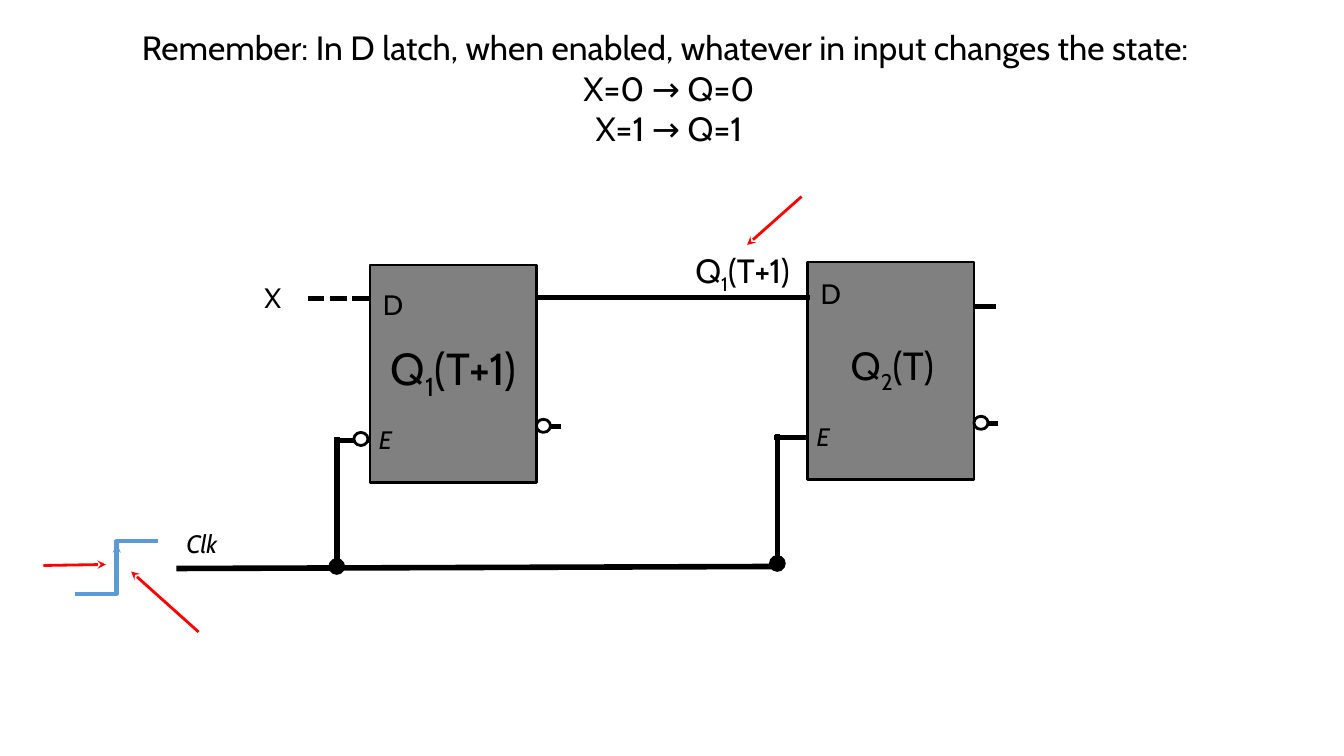
from lxml import etree
from pptx import Presentation
from pptx import util as u
from pptx.dml.color import RGBColor
from pptx.enum import dml, shapes, text
from pptx.oxml.ns import qn

BLACK, GREY, WHITE, RED, BLUE = "000000", "808080", "FFFFFF", "FF0000", "5B9BD5"


def rgb(value):
    return RGBColor.from_string(value)


class Diagram:
    """Draws circuit parts on one slide, on a grid 75 rows high with square cells."""

    font = "Cabin"

    def __init__(self, prs):
        self.s = prs.slides.add_slide(prs.slide_layouts[6])
        self.cell = prs.slide_height / 75

    def grid(self, *values):
        return [u.Emu(round(v * self.cell)) for v in values]

    def line(self, x1, y1, x2, y2, color=BLACK, width=4, head=None, tail=None,
             dash=None, kind=shapes.MSO_CONNECTOR.STRAIGHT):
        sp = self.s.shapes.add_connector(kind, *self.grid(x1, y1, x2, y2))
        sp.line.color.rgb = rgb(color)
        sp.line.width = u.Pt(width)
        if dash:
            sp.line.dash_style = dash
        spPr = sp._element.spPr
        ln = spPr.find(qn("a:ln"))
        for tag, end in (("a:headEnd", head), ("a:tailEnd", tail)):
            if end:
                etree.SubElement(ln, qn(tag), type=end)
        etree.SubElement(spPr, qn("a:effectLst"))

    def shape(self, kind, x, y, w, h, fill):
        sp = self.s.shapes.add_shape(kind, *self.grid(x, y, w, h))
        sp.shadow.inherit = False
        sp.fill.solid()
        sp.fill.fore_color.rgb = rgb(fill)
        sp.line.color.rgb = rgb(BLACK)
        sp.line.width = u.Pt(2)

    def bubble(self, x, y):
        self.shape(shapes.MSO_SHAPE.OVAL, x, y, 1.4, 1.3, WHITE)

    def label(self, x, y, w, h, paragraphs, size, italic=False, wrap=False):
        tf = self.s.shapes.add_textbox(*self.grid(x, y, w, h)).text_frame
        tf.word_wrap = wrap
        tf.auto_size = text.MSO_AUTO_SIZE.SHAPE_TO_FIT_TEXT
        for i, parts in enumerate(paragraphs):
            p = tf.add_paragraph() if i else tf.paragraphs[0]
            p.alignment = text.PP_ALIGN.LEFT if wrap else text.PP_ALIGN.CENTER
            p.font.name, p.font.size = self.font, u.Pt(size)
            p.font.italic = italic
            p.font.color.rgb = rgb(BLACK)
            for j, part in enumerate(parts):
                r = p.add_run()
                r.text = part
                if j == 1:
                    r._r.get_or_add_rPr().set("baseline", "-25000")

    def signal(self, x, y, text_):
        self.label(x, y, 6.9, 4, [[text_]], 18, italic=True, wrap=True)

    def latch(self, x, y, q_start, q_row, q_end, d_row):
        self.line(q_start, q_row, q_end, q_row)
        self.line(x + 13.2, y + 16, x + 18.9, y + 16)
        self.line(x - 3.3, y + 17.4, x + 2.5, y + 17.4)
        self.shape(shapes.MSO_SHAPE.RECTANGLE, x, y, 16.5, 21.6, GREY)
        self.bubble(x + 16.5, y + 15.3)
        self.signal(x - 0.1, y + 15.3, "E")
        self.label(x + 0.3, d_row, 4, 4.4, [["D"]], 20)


def main():
    prs = Presentation()
    prs.slide_width, prs.slide_height = u.Inches(13.33), u.Inches(7.5)
    d = Diagram(prs)

    d.line(17.5, 56.4, 77.1, 56.2)
    d.line(33.4, 56.2, 33.4, 43.4, head="oval")
    d.line(77.1, 55.9, 77.1, 43.1, head="oval")
    d.signal(17.5, 51.9, "Clk")
    d.line(7.4, 58.9, 15.7, 53.7, BLUE, 3, kind=shapes.MSO_CONNECTOR.ELBOW)
    d.line(11.5, 58.6, 11.6, 54, BLUE, 2, tail="stealth")

    d.latch(80.1, 26, q_start=93, q_row=30.4, q_end=98.8, d_row=26.9)
    d.latch(36.7, 26.3, q_start=49.9, q_row=29.5, q_end=80.3, d_row=28)
    d.bubble(35.1, 42.9)
    d.line(30.5, 29.6, 36.8, 29.6, dash=dml.MSO_LINE.SQUARE_DOT)

    d.label(25.2, 27.3, 3.7, 4.4, [["X"]], 20)
    d.label(36.2, 33.3, 17.6, 6.4, [["Q", "1", "(T+1)"]], 32)
    d.label(83.1, 33.4, 10.8, 5.7, [["Q", "2", "(T)"]], 28)
    d.label(66.8, 24.3, 13.7, 5, [["Q", "1", "(T+1)"]], 24)
    d.label(10, 2.2, 112.7, 13.1, [
        ["Remember: In D latch, when enabled, whatever in input changes the state: "],
        ["X=0 → Q=0"],
        ["X=1 → Q=1"],
    ], 24)

    for arrow in ((13, 56.7, 19.7, 62.7), (10.5, 56, 4.3, 56.1), (74.1, 24.3, 79.5, 19.5)):
        d.line(*arrow, RED, 2, head="stealth")

    prs.save("out.pptx")


if __name__ == "__main__":
    main()
